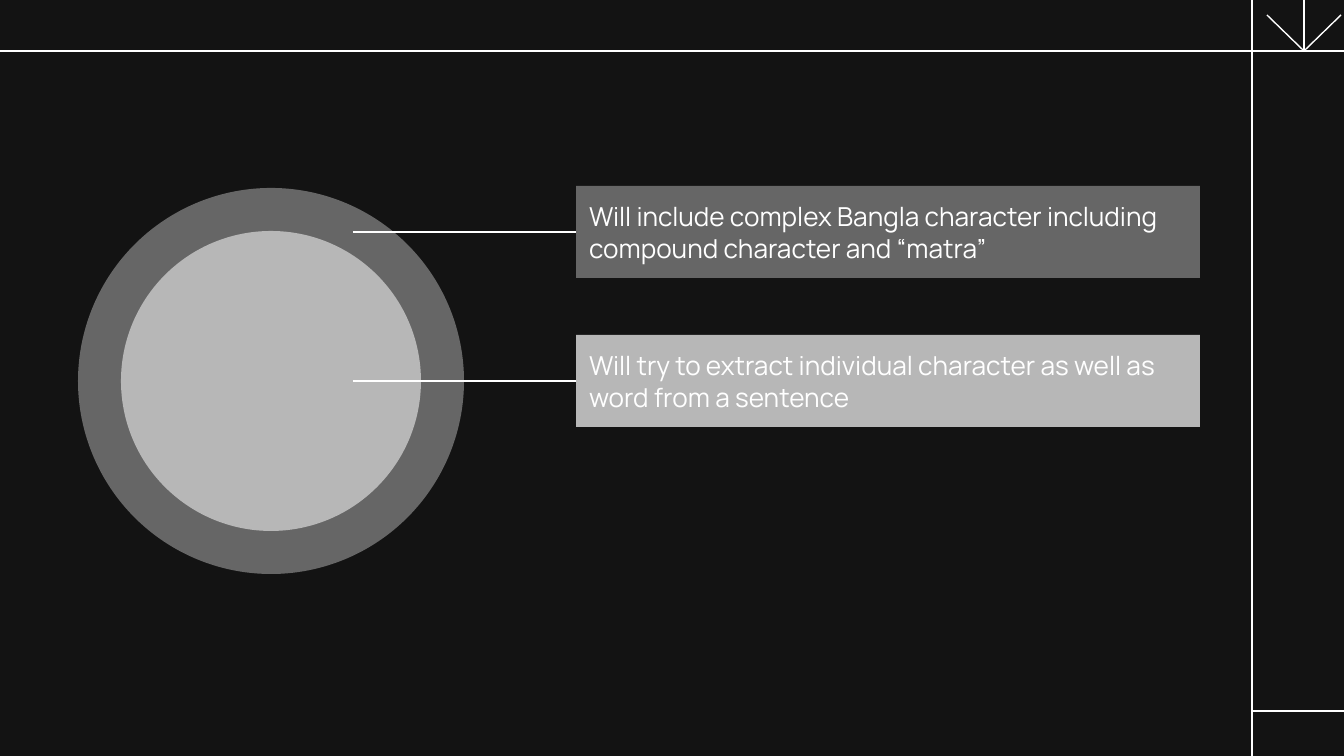
from pptx import Presentation
from pptx.dml.color import RGBColor
from pptx.enum.shapes import MSO_CONNECTOR, MSO_SHAPE
from pptx.enum.text import MSO_ANCHOR, PP_ALIGN
from pptx.oxml.ns import qn
from pptx.util import Emu, Pt
from lxml.etree import SubElement

BLACK = RGBColor(0x13, 0x13, 0x13)
WHITE = RGBColor(0xFF, 0xFF, 0xFF)
DARK_GRAY = RGBColor(0x66, 0x66, 0x66)
LIGHT_GRAY = RGBColor(0xB7, 0xB7, 0xB7)
FONT = "Manrope"

LAYERS = [
    ("Will include complex Bangla character including compound character and “matra”",
     DARK_GRAY, 386),
    ("Will try to extract individual character as well as word from a sentence",
     LIGHT_GRAY, 300),
]
FRAME_LINES = [
    (1252, -13, 1252, 769),
    (1304, -1, 1304, 51),
    (1341, 15, 1304, 51),
    (1304, 51, 1267, 15),
    (1252, 51, 1356, 51),
    (-13, 51, 1371, 51),
    (1252, 711, 1371, 711),
]

SLIDE_WIDTH, SLIDE_HEIGHT = 1344, 756
CENTER_X, CENTER_Y = 271, 381
LABEL_LEFT, LABEL_WIDTH, LABEL_HEIGHT = 576, 624, 92
FIRST_LABEL_Y, LABEL_PITCH = 232, 149
LEADER_START, LEADER_END = 353, 610
INSET = 13


def px(length):
    return Emu(round(length * 914400 / 134.4))


def add_line(page, start_x, start_y, end_x, end_y, width):
    line = page.shapes.add_connector(
        MSO_CONNECTOR.STRAIGHT, px(start_x), px(start_y), px(end_x), px(end_y))
    line.line.color.rgb = WHITE
    line.line.width = Pt(width)
    SubElement(line._element.spPr, qn("a:effectLst"))


def add_filled(page, kind, left, top, width, height, color):
    shape = page.shapes.add_shape(kind, px(left), px(top), px(width), px(height))
    shape.shadow.inherit = False
    shape.fill.solid()
    shape.fill.fore_color.rgb = color
    shape.line.fill.background()
    return shape


def write_text(shape, text, size=14, color=WHITE, align=PP_ALIGN.LEFT):
    frame = shape.text_frame
    frame.word_wrap = True
    frame.vertical_anchor = MSO_ANCHOR.MIDDLE
    frame.margin_left = frame.margin_right = px(INSET)
    frame.margin_top = frame.margin_bottom = px(INSET)
    para = frame.paragraphs[0]
    para.alignment = align
    span = para.add_run()
    span.text = text
    span.font.name = FONT
    span.font.size = Pt(size)
    span.font.color.rgb = color


def main():
    deck = Presentation()
    deck.slide_width, deck.slide_height = px(SLIDE_WIDTH), px(SLIDE_HEIGHT)
    page = deck.slides.add_slide(deck.slide_layouts[6])
    page.background.fill.solid()
    page.background.fill.fore_color.rgb = BLACK

    for ends in FRAME_LINES:
        add_line(page, *ends, width=0.75)

    for _, color, diameter in LAYERS:
        add_filled(page, MSO_SHAPE.OVAL, CENTER_X - diameter / 2,
                   CENTER_Y - diameter / 2, diameter, diameter, color)

    for index, (text, color, _) in enumerate(LAYERS):
        middle = FIRST_LABEL_Y + index * LABEL_PITCH
        add_line(page, LEADER_START, middle, LEADER_END, middle, width=1.5)
        label = add_filled(page, MSO_SHAPE.RECTANGLE, LABEL_LEFT,
                           middle - LABEL_HEIGHT / 2, LABEL_WIDTH, LABEL_HEIGHT, color)
        write_text(label, text)

    deck.save("out.pptx")


if __name__ == "__main__":
    main()
